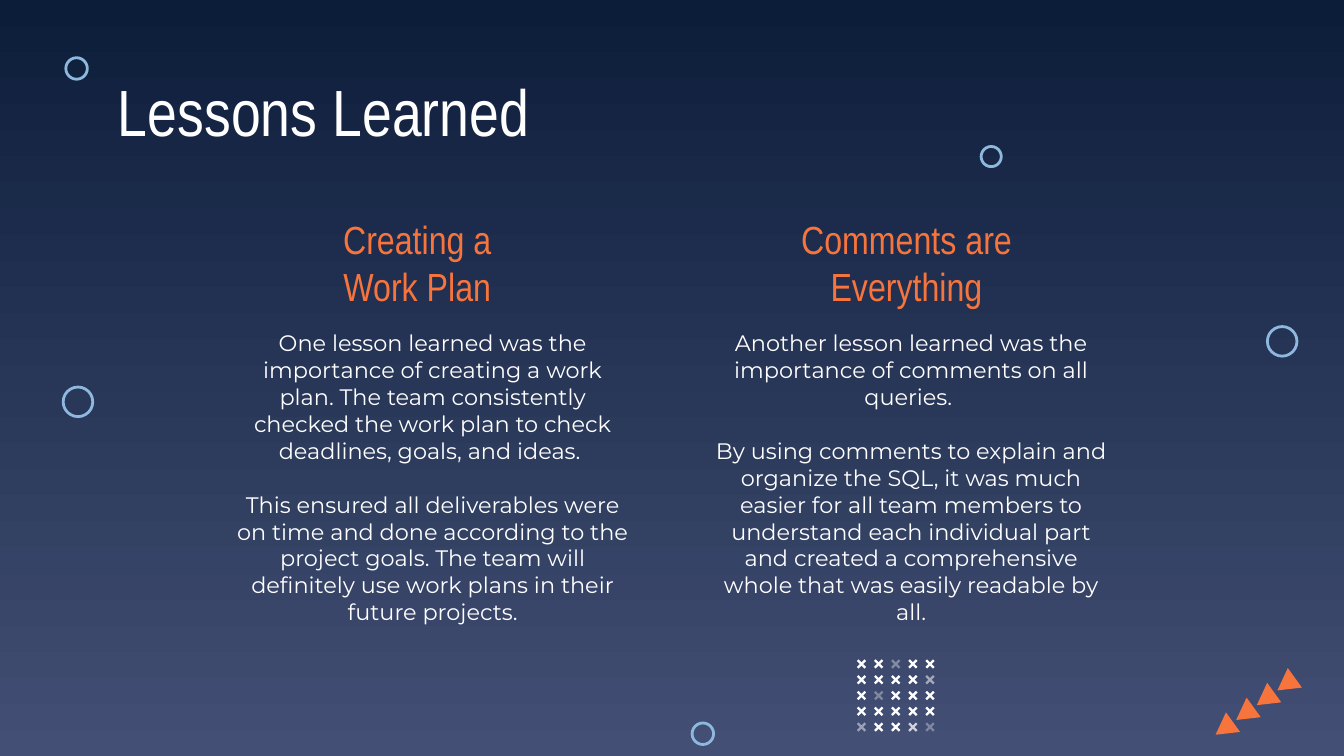
from lxml.etree import SubElement
from pptx import Presentation
from pptx.dml.color import RGBColor
from pptx.enum.shapes import MSO_SHAPE as Shape
from pptx.enum.text import MSO_ANCHOR as Anchor, PP_ALIGN as Align
from pptx.oxml.ns import qn
from pptx.util import Inches, Pt

COLORS = {
    "night": "0C1D3A",
    "dusk": "434F74",
    "white": "FFFFFF",
    "orange": "F7743C",
    "sky": "8EB8DE",
}
HEADING_FONT = "Arial Narrow"
BODY_FONT = "Montserrat"

RINGS = [  # left, top, diameter
    (7.3, 1.09, 0.15),
    (0.49, 0.43, 0.16),
    (9.43, 2.43, 0.22),
    (0.47, 2.88, 0.22),
    (5.15, 5.38, 0.16),
]
# Opacity in percent of the faded crosses, by (row, column)
FADED = {(0, 2): 36, (1, 4): 53, (2, 1): 34, (4, 0): 48, (4, 3): 75, (4, 4): 33}

LESSONS = [  # heading left, body left, heading lines, body paragraphs
    (2.04, 1.66, ["Creating a", "Work Plan"], [
        "One lesson learned was the importance of creating a work plan. "
        "The team consistently checked the work plan to check deadlines, "
        "goals, and ideas. ",
        "This ensured all deliverables were on time and done according to "
        "the project goals. The team will definitely use work plans in "
        "their future projects.",
    ]),
    (5.68, 5.22, ["Comments are Everything"], [
        "Another lesson learned was the importance of comments on all queries. ",
        "By using comments to explain and organize the SQL, it was much "
        "easier for all team members to understand each individual part and "
        "created a comprehensive whole that was easily readable by all.",
    ]),
]


def rgb(name):
    return RGBColor.from_string(COLORS[name])


class SlideBuilder:
    def __init__(self, slide):
        self.slide = slide

    def background(self, top, bottom):
        fill = self.slide.background.fill
        fill.gradient()
        fill.gradient_angle = 270
        for stop, position, color in zip(fill.gradient_stops, (0, 1), (top, bottom)):
            stop.position = position
            stop.color.rgb = rgb(color)

    def text(self, box, paragraphs, font, size, color,
             align=Align.LEFT, anchor=Anchor.TOP, gap=0):
        """Add a wrapped text box; gap is the space between paragraphs in points."""
        frame = self.slide.shapes.add_textbox(*map(Inches, box)).text_frame
        frame.word_wrap = True
        frame.vertical_anchor = anchor
        frame.margin_left = frame.margin_right = Inches(0.1)
        frame.margin_top = frame.margin_bottom = Inches(0.1)
        frame.text = "\n".join(paragraphs)
        for index, paragraph in enumerate(frame.paragraphs):
            paragraph.alignment = align
            paragraph.space_before = Pt(gap if index else 0)
            for run in paragraph.runs:
                run.font.name = font
                run.font.size = Pt(size)
                run.font.color.rgb = rgb(color)

    def ring(self, left, top, diameter):
        ring = self.slide.shapes.add_shape(
            Shape.OVAL, *map(Inches, (left, top, diameter, diameter)))
        ring.shadow.inherit = False
        ring.fill.background()
        ring.line.color.rgb = rgb("sky")
        ring.line.width = Pt(1.5)

    def solid(self, kind, box, color, rotation, adjustment, opacity=100):
        shape = self.slide.shapes.add_shape(kind, *map(Inches, box))
        shape.shadow.inherit = False
        shape.rotation = rotation
        shape.adjustments[0] = adjustment
        shape.fill.solid()
        shape.fill.fore_color.rgb = rgb(color)
        shape.line.fill.background()
        if opacity < 100:
            tint = shape.fill._xPr.find(qn("a:solidFill")).find(qn("a:srgbClr"))
            SubElement(tint, qn("a:alpha")).set("val", str(opacity * 1000))


def main():
    deck = Presentation()
    deck.slide_width = Inches(10)
    deck.slide_height = Inches(10 * 9 / 16)
    builder = SlideBuilder(deck.slides.add_slide(deck.slide_layouts[6]))

    builder.background("night", "dusk")
    builder.text((0.78, 0.43, 8.43, 0.64), ["Lessons Learned"],
                 HEADING_FONT, 35, "white")
    for heading_left, body_left, heading, body in LESSONS:
        builder.text((heading_left, 1.65, 2.13, 0.61), heading,
                     HEADING_FONT, 21, "orange", Align.CENTER, Anchor.MIDDLE)
        builder.text((body_left, 2.35, 3.12, 2.32), body,
                     BODY_FONT, 12, "white", Align.CENTER, gap=14.5)

    for ring in RINGS:
        builder.ring(*ring)
    for step in range(4):
        box = (9.48 - step * 0.46 / 3, 5.01 + step * 0.11, 0.18, 0.16)
        builder.solid(Shape.ISOSCELES_TRIANGLE, box, "orange", 234.2, 0.5)
    for row in range(5):
        for column in range(5):
            box = (6.37 + column * 0.51 / 4, 4.9 + row * 0.47 / 4, 0.08, 0.08)
            builder.solid(Shape.CROSS, box, "white", 315, 0.39,
                          FADED.get((row, column), 100))

    deck.save("out.pptx")


if __name__ == "__main__":
    main()
